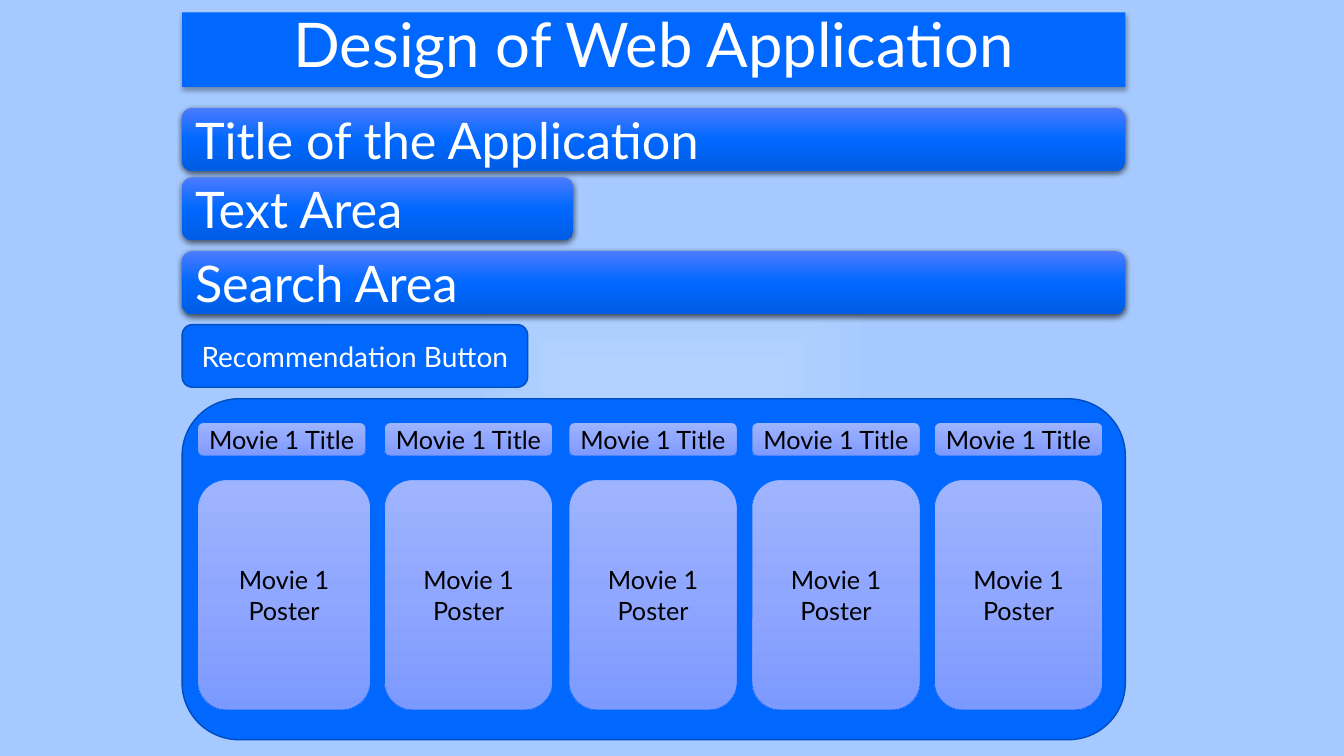
from dataclasses import dataclass

from lxml import etree
from pptx import Presentation
from pptx import util as u
from pptx.dml import color
from pptx.enum import shapes, text
from pptx.oxml import ns


@dataclass(frozen=True)
class Theme:
    """Colours, gradients and type sizes of the page."""
    font: str = "Lato"
    blue: str = "0068FF"
    edge: str = "004DBD"
    white: str = "FFFFFF"
    black: str = "000000"
    bar: tuple = ((0, "4B7BFF", 100), (50, "0068FF", 100), (100, "005CE3", 100))
    card: tuple = ((0, "9EB4FF", 100), (50, "90A7FF", 100), (100, "7C99FF", 100))
    backdrop: tuple = ((0, "B2D2FF", 100), (31, "A6CAFF", 77))
    heading: int = 44
    label: int = 36
    button: int = 20
    caption: int = 18


THEME = Theme()


def add_node(parent, tag, **attributes):
    """Append a DrawingML element and return it."""
    values = {key: str(value) for key, value in attributes.items()}
    return etree.SubElement(parent, ns.qn(f"a:{tag}"), values)


def add_colour(parent, rgb, alpha):
    """Append a colour with its opacity in percent."""
    node = add_node(parent, "srgbClr", val=rgb)
    if alpha < 100:
        add_node(node, "alpha", val=alpha * 1000)


def set_gradient(fill, owner, stops):
    """Fill with a top-down gradient and return its element."""
    fill.gradient()
    fill.gradient_angle = 270
    gradient = next(owner.iter(ns.qn("a:gradFill")))
    stop_list = gradient.find(ns.qn("a:gsLst"))
    for old in list(stop_list):
        stop_list.remove(old)
    for position, rgb, alpha in stops:
        add_colour(add_node(stop_list, "gs", pos=position * 1000), rgb, alpha)
    return gradient


def set_backdrop(page):
    """Give the page a gradient that spreads from its centre."""
    fill = page.background.fill
    gradient = set_gradient(fill, page.element, THEME.backdrop)
    gradient.remove(gradient.find(ns.qn("a:lin")))
    route = add_node(gradient, "path", path="shape")
    add_node(route, "fillToRect", l=50000, t=50000, r=50000, b=50000)


def add_shadow(shape, alpha, blur, distance):
    """Cast a soft shadow straight down."""
    effects = shape.element.spPr.find(ns.qn("a:effectLst"))
    shadow = add_node(effects, "outerShdw", blurRad=u.Pt(blur), dist=u.Pt(distance),
                      dir=5400000, algn="ctr", rotWithShape=0)
    add_colour(shadow, THEME.black, alpha)


def add_block(page, box, fill, line=None, rounded=True):
    """Place a block at a box of left, top, width and height in centimetres."""
    kinds = shapes.MSO_SHAPE
    kind = kinds.ROUNDED_RECTANGLE if rounded else kinds.RECTANGLE
    block = page.shapes.add_shape(kind, *(u.Cm(length) for length in box))
    block.shadow.inherit = False
    if isinstance(fill, str):
        block.fill.solid()
        block.fill.fore_color.rgb = color.RGBColor.from_string(fill)
    else:
        set_gradient(block.fill, block.element.spPr, fill)
    if line:
        rgb, width = line
        block.line.color.rgb = color.RGBColor.from_string(rgb)
        block.line.width = u.Pt(width)
    else:
        block.line.fill.background()
    return block


def write(block, words, size, rgb=THEME.white, align=text.PP_ALIGN.CENTER):
    """Write one paragraph in the middle of a block."""
    frame = block.text_frame
    frame.text = words
    frame.word_wrap = True
    frame.vertical_anchor = text.MSO_ANCHOR.MIDDLE
    para = frame.paragraphs[0]
    para.alignment = align
    for span in para.runs:
        span.font.name = THEME.font
        span.font.size = u.Pt(size)
        span.font.color.rgb = color.RGBColor.from_string(rgb)
    return para


def add_heading(page, box):
    """Place the page heading."""
    block = add_block(page, box, THEME.blue, rounded=False)
    add_shadow(block, 32, 3.5, 2.2)
    write(block, "Design of Web Application", THEME.heading).line_spacing = 0.8


def add_bar(page, box, words):
    """Place a raised bar with its label on the left."""
    block = add_block(page, box, THEME.bar)
    add_shadow(block, 63, 4.5, 1.5)
    write(block, words, THEME.label, align=text.PP_ALIGN.LEFT)


def add_button(page, box):
    """Place the recommendation button."""
    block = add_block(page, box, THEME.blue, (THEME.edge, 1))
    write(block, "Recommendation Button", THEME.button)


def add_card(page, box, words):
    """Place a pale card with a centred caption and narrow side margins."""
    card = add_block(page, box, THEME.card, (THEME.blue, 0.5))
    write(card, words, THEME.caption, THEME.black)
    card.text_frame.margin_left = card.text_frame.margin_right = u.Cm(0.1)


def add_movies(page, box):
    """Place the panel with a title and a poster for each movie."""
    left, top, _, _ = box
    add_block(page, box, THEME.blue, (THEME.edge, 1))
    width = 4.24
    columns = ((0.39, 4.36), (5.1, width), (9.75, width), (14.36, width), (18.96, width))
    for offset, poster_width in columns:
        x = left + offset
        add_card(page, (x, top + 0.6, width, 0.84), "Movie 1 Title")
        add_card(page, (x, top + 2.04, poster_width, 5.8), "Movie 1 Poster")


def main():
    """Build the page and save the deck."""
    deck = Presentation()
    deck.slide_width, deck.slide_height = u.Cm(33.87), u.Cm(19.05)
    page = deck.slides.add_slide(deck.slide_layouts[6])
    set_backdrop(page)
    left, width, bar_height = 4.59, 23.77, 1.58
    add_heading(page, (left, 0.31, width, 1.88))
    for words, top, bar_width in (("Title of the Application", 2.72, width),
                                  ("Text Area", 4.47, 9.86),
                                  ("Search Area", 6.33, width)):
        add_bar(page, (left, top, bar_width, bar_height), words)
    add_button(page, (left, 8.18, 8.71, bar_height))
    add_movies(page, (left, 10.05, width, 8.59))
    deck.save("out.pptx")


if __name__ == "__main__":
    main()
